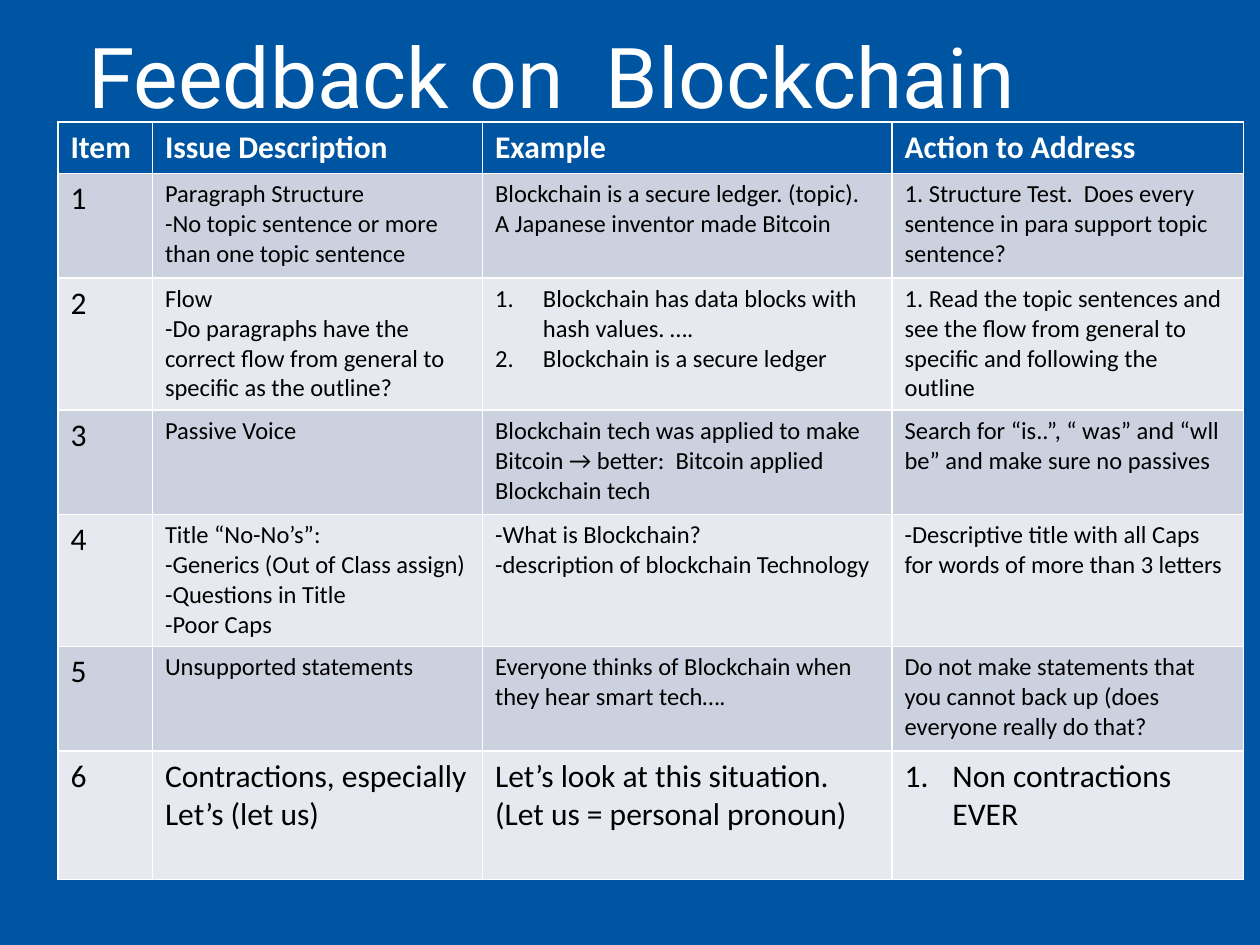
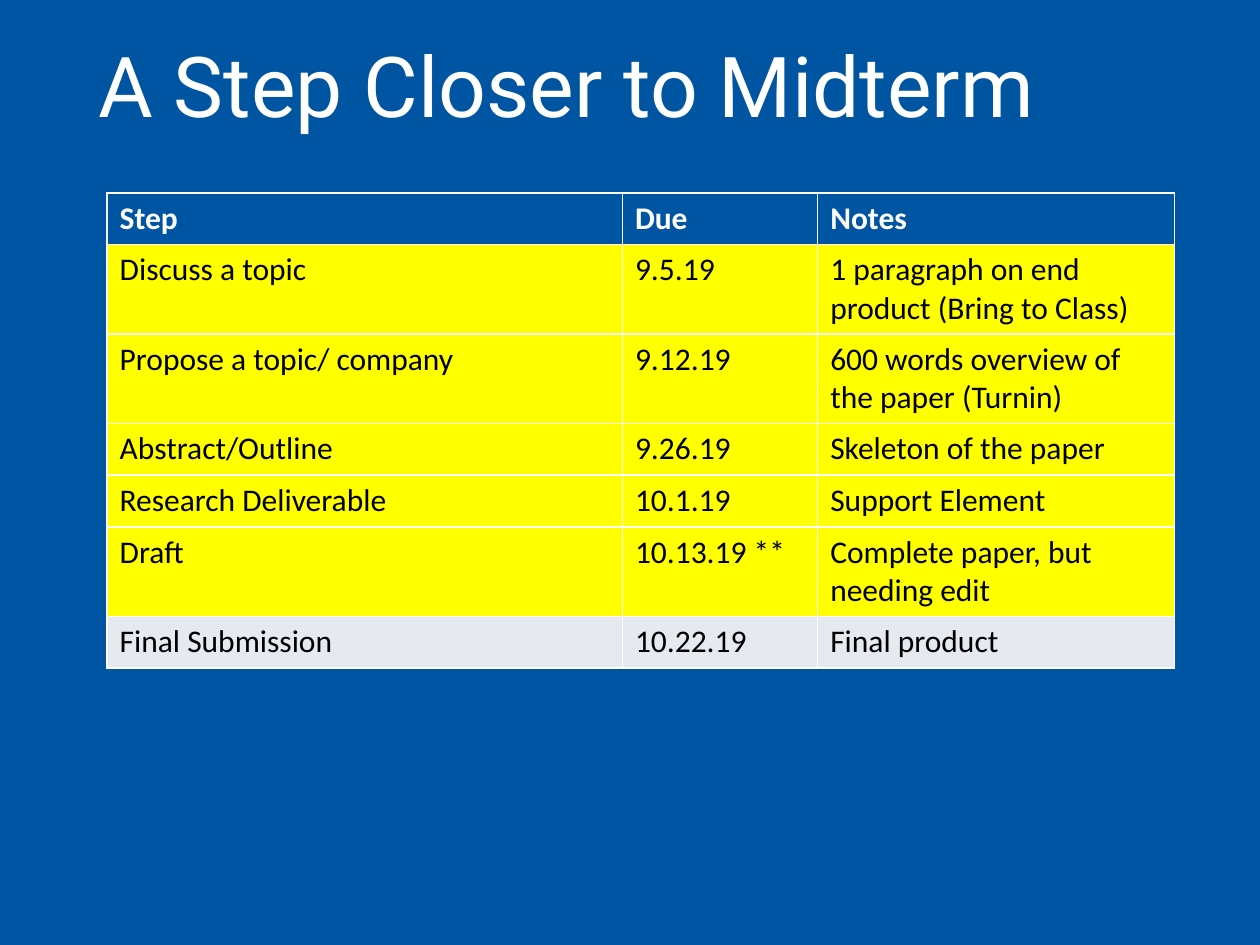
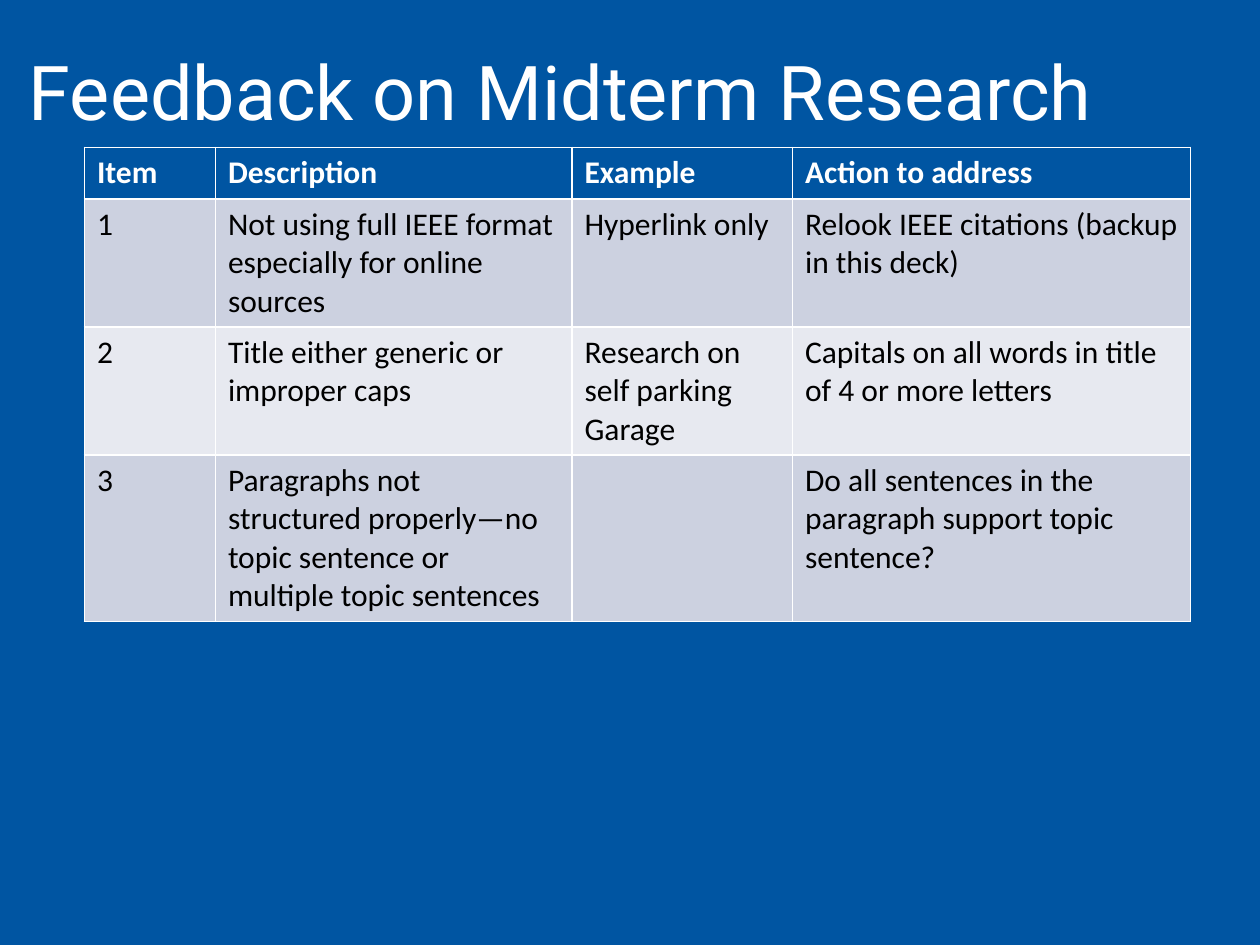
from lxml import etree
from pptx import Presentation
from pptx.dml.color import RGBColor
from pptx.enum.text import MSO_ANCHOR, MSO_AUTO_SIZE, PP_ALIGN
from pptx.oxml.ns import qn
from pptx.util import Inches, Pt

LEFT = PP_ALIGN.LEFT
MIDDLE = MSO_ANCHOR.MIDDLE
NO_FIT = MSO_AUTO_SIZE.NONE

COLORS = {k: RGBColor.from_string(v) for k, v in {
    "blue": "0055A2",
    "white": "FFFFFF",
    "black": "000000",
    "band": "CCD1E0",
    "light": "E7E9F0",
    "done": "FFFF00",
}.items()}
TITLE_FONT, TABLE_FONT = "Roboto", "Calibri"
HEADER_SIZE = 18
ROW_H = 0.41
INDENT = Inches(0.38)

# A cell is a string with one paragraph a line, or a list of numbered items.
BLOCKCHAIN_ROWS = [
    ["Item", "Issue Description", "Example", "Action to Address"],
    ["1", "Paragraph Structure\n-No topic sentence or more than one topic sentence",
     "Blockchain is a secure ledger. (topic).  A Japanese inventor made Bitcoin",
     "1. Structure Test.  Does every sentence in para support topic sentence?"],
    ["2", "Flow\n-Do paragraphs have the correct flow from general to specific as the outline?",
     ["Blockchain has data blocks with hash values. ….", "Blockchain is a secure ledger"],
     "1. Read the topic sentences and see the flow from general to specific "
     "and following the outline"],
    ["3", "Passive Voice",
     "Blockchain tech was applied to make Bitcoin → better:  Bitcoin applied Blockchain tech",
     "Search for “is..”, “ was” and “wll be” and make sure no passives"],
    ["4", "Title “No-No’s”:\n-Generics (Out of Class assign)\n-Questions in Title\n-Poor Caps",
     "-What is Blockchain?\n-description of blockchain Technology",
     "-Descriptive title with all Caps for words of more than 3 letters"],
    ["5", "Unsupported statements",
     "Everyone thinks of Blockchain when they hear smart tech….",
     "Do not make statements that you cannot back up (does everyone really do that?"],
    ["6", "Contractions, especially Let’s (let us)",
     "Let’s look at this situation.\n(Let us = personal pronoun)",
     ["Non contractions EVER"]],
]
MIDTERM_ROWS = [
    ["Step", "Due", "Notes"],
    ["Discuss a topic", "9.5.19", "1 paragraph on end product (Bring to Class)"],
    ["Propose a topic/ company", "9.12.19", "600 words overview of the paper (Turnin)"],
    ["Abstract/Outline", "9.26.19", "Skeleton of the paper"],
    ["Research Deliverable", "10.1.19", "Support Element"],
    ["Draft", "10.13.19 **", "Complete paper, but needing edit"],
    ["Final Submission", "10.22.19", "Final product"],
]
RESEARCH_ROWS = [
    ["Item", "Description", "Example", "Action to address"],
    ["1", "Not using full IEEE format especially for online sources",
     "Hyperlink only", "Relook IEEE citations (backup in this deck)"],
    ["2", "Title either generic or improper caps",
     "Research on self parking Garage",
     "Capitals on all words in title of 4 or more letters"],
    ["3", "Paragraphs not structured properly—no topic sentence or multiple topic sentences",
     "", "Do all sentences in the paragraph support topic sentence?"],
]

SLIDES = [
    dict(title="Feedback on  Blockchain", title_box=(0.6, 0.16, 8.62, 0.97), title_size=48,
         corner=(0.46, 0.97), cols=(0.75, 2.62, 3.25, 2.79), rows=BLOCKCHAIN_ROWS,
         heights=[0.35] + [0.83] * 5 + [1.02], body_size=14, done=0),
    dict(title="A Step Closer to Midterm", title_box=(0.68, 0.23, 8.62, 0.97), title_size=48,
         corner=(0.85, 1.53), cols=(4.09, 1.55, 2.83), rows=MIDTERM_ROWS,
         heights=[ROW_H] * 7, body_size=18, done=5),
    dict(title="Feedback on Midterm Research", title_box=(0.13, 0.28, 9.71, 0.97),
         title_size=43.2, corner=(0.67, 1.17), cols=(1.04, 2.83, 1.75, 3.16),
         rows=RESEARCH_ROWS, heights=[ROW_H] * 4, body_size=18, done=0),
]


def add_run(p, text, font, size, color, bold=False):
    r = p.add_run()
    r.text = text
    r.font.name, r.font.size, r.font.bold = font, Pt(size), bold
    r.font.color.rgb = COLORS[color]


def fill_cell(cell, content, size, color, bold):
    numbered = isinstance(content, list)
    tf = cell.text_frame
    for i, line in enumerate(content if numbered else content.split("\n")):
        p = tf.add_paragraph() if i else tf.paragraphs[0]
        if numbered:
            pPr = p._p.get_or_add_pPr()
            pPr.set("marL", str(INDENT))
            pPr.set("indent", str(-INDENT))
            etree.SubElement(pPr, qn("a:buAutoNum"), type="arabicPeriod")
        if line:
            add_run(p, line, TABLE_FONT, size, color, bold)


prs = Presentation()
prs.slide_width, prs.slide_height = Inches(10), Inches(7.5)
background = prs.slide_master.background.fill
background.solid()
background.fore_color.rgb = COLORS["blue"]

for spec_row in SLIDES:
    s = prs.slides.add_slide(prs.slide_layouts[5])

    title = s.shapes.title
    title.left, title.top, title.width, title.height = map(Inches, spec_row["title_box"])
    tf = title.text_frame
    tf.auto_size, tf.vertical_anchor, tf.word_wrap = NO_FIT, MIDDLE, True
    p = tf.paragraphs[0]
    p.alignment, p.line_spacing = LEFT, 0.9
    add_run(p, spec_row["title"], TITLE_FONT, spec_row["title_size"], "white")

    rows, cols, heights = spec_row["rows"], spec_row["cols"], spec_row["heights"]
    x, y = spec_row["corner"]
    table = s.shapes.add_table(len(rows), len(cols), Inches(x), Inches(y),
                               Inches(sum(cols)), Inches(sum(heights))).table
    for column, width in zip(table.columns, cols):
        column.width = Inches(width)

    for i, row in enumerate(rows):
        table.rows[i].height = Inches(heights[i])
        header, last = i == 0, i == len(rows) - 1
        if header:
            fill = "blue"
        elif i <= spec_row["done"]:
            fill = "done"
        else:
            fill = "band" if i % 2 else "light"
        for j, content in enumerate(row):
            cell = table.cell(i, j)
            cell.fill.solid()
            cell.fill.fore_color.rgb = COLORS[fill]
            size = HEADER_SIZE if header or last or j == 0 else spec_row["body_size"]
            fill_cell(cell, content, size, "white" if header else "black", header)

prs.save("out.pptx")
